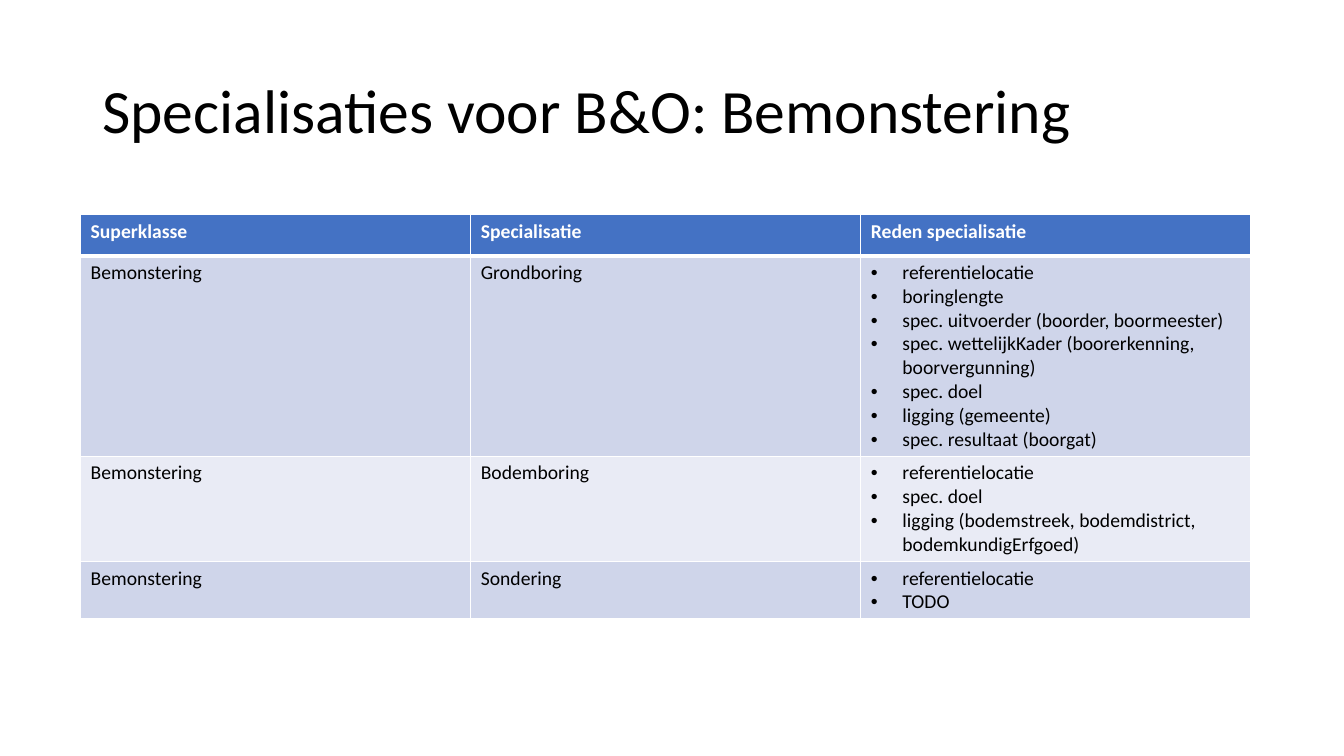
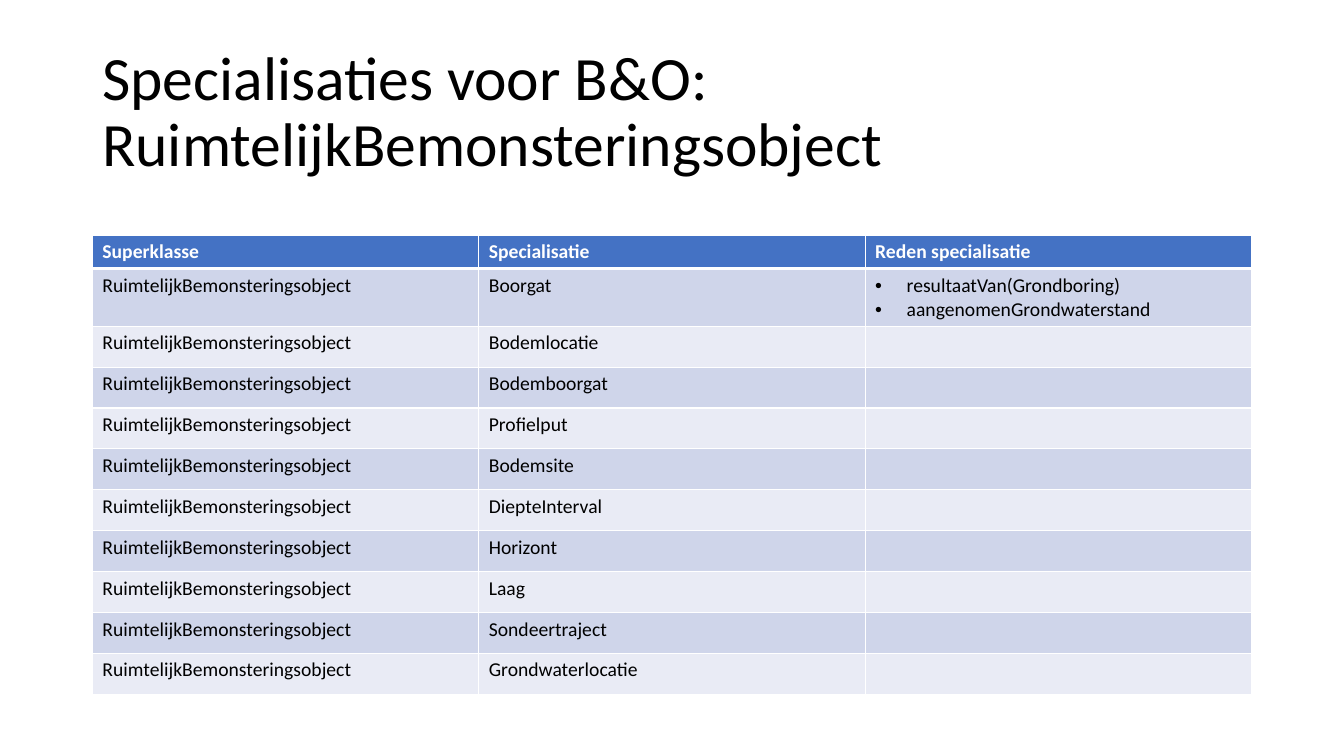
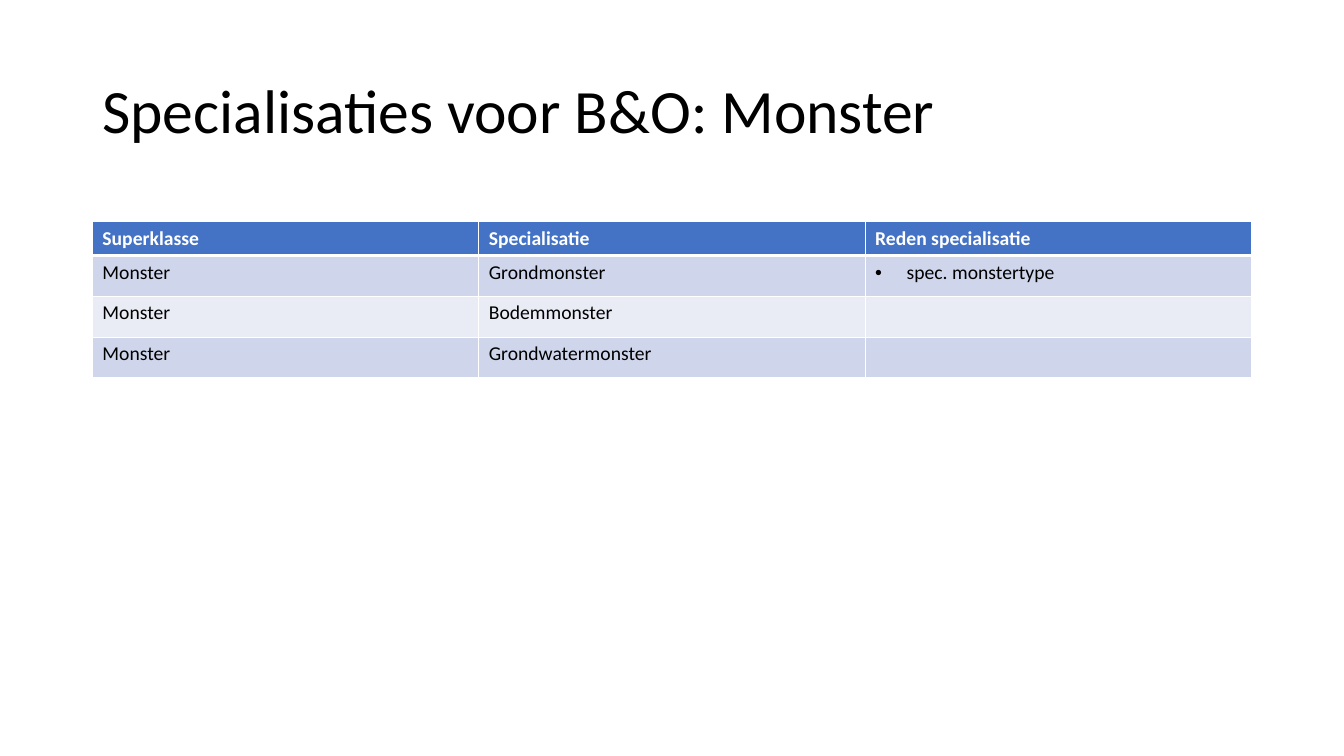
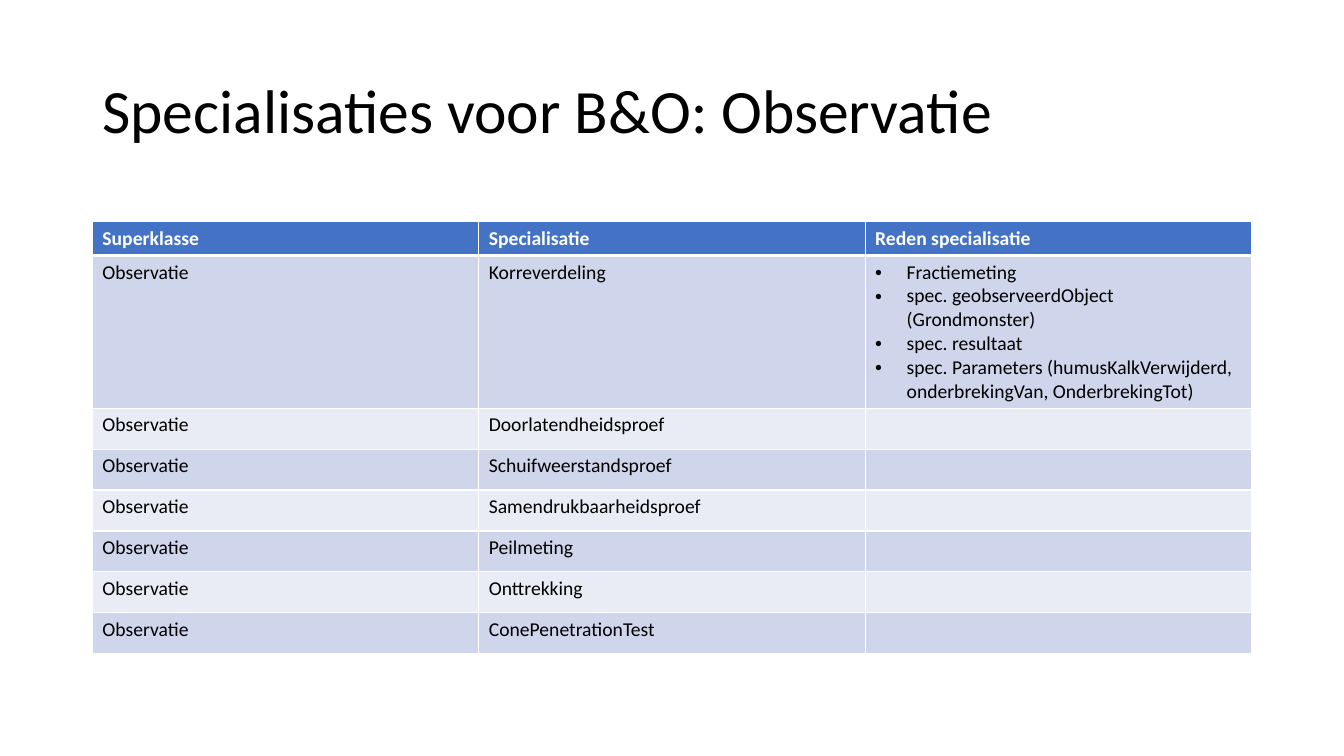
from lxml import etree
from pptx import Presentation
from pptx.dml.color import RGBColor
from pptx.enum.text import MSO_ANCHOR
from pptx.oxml.ns import qn
from pptx.util import Pt

MIDDLE = MSO_ANCHOR.MIDDLE
FONT = "Calibri"
BLACK, WHITE, HEADER_BLUE = "000000", "FFFFFF", "4472C4"
BANDS = ("CFD5EA", "E9EBF5")
HEADINGS = ("Superklasse", "Specialisatie", "Reden specialisatie")
TITLE_BOX = (66, 28.8, 828, 104.4)
TITLE_SIZE, TABLE_SIZE = 44, 14
ROW_HEIGHT, COMPACT_HEADER = 29.2, 24
LINE_HEIGHT, CELL_MARGINS = 17, 7.2
BULLET_INDENT = 22.5
THIN, THICK = 1, 3

# Each row: specialisation, lines of text in the last column, reasons
SLIDES = (
    ("Bemonstering", (57.6, 153.4, 836), ROW_HEIGHT, (
        ("Grondboring", 8, (
            "referentielocatie", "boringlengte",
            "spec. uitvoerder (boorder, boormeester)",
            "spec. wettelijkKader (boorerkenning, boorvergunning)",
            "spec. doel", "ligging (gemeente)", "spec. resultaat (boorgat)")),
        ("Bodemboring", 4, (
            "referentielocatie", "spec. doel",
            "ligging (bodemstreek, bodemdistrict, bodemkundigErfgoed)")),
        ("Sondering", 2, ("referentielocatie", "TODO")),
    )),
    ("RuimtelijkBemonsteringsobject", (66, 167.8, 828), COMPACT_HEADER, (
        ("Boorgat", 2, ("resultaatVan(Grondboring)", "aangenomenGrondwaterstand")),
        ("Bodemlocatie", 1, ()),
        ("Bodemboorgat", 1, ()),
        ("Profielput", 1, ()),
        ("Bodemsite", 1, ()),
        ("DiepteInterval", 1, ()),
        ("Horizont", 1, ()),
        ("Laag", 1, ()),
        ("Sondeertraject", 1, ()),
        ("Grondwaterlocatie", 1, ()),
    )),
    ("Monster", (66, 158.4, 828), COMPACT_HEADER, (
        ("Grondmonster", 1, ("spec. monstertype",)),
        ("Bodemmonster", 1, ()),
        ("Grondwatermonster", 1, ()),
    )),
    ("Observatie", (66, 158.4, 828), COMPACT_HEADER, (
        ("Korreverdeling", 6, (
            "Fractiemeting", "spec. geobserveerdObject (Grondmonster)",
            "spec. resultaat",
            "spec. Parameters (humusKalkVerwijderd, onderbrekingVan, OnderbrekingTot)")),
        ("Doorlatendheidsproef", 1, ()),
        ("Schuifweerstandsproef", 1, ()),
        ("Samendrukbaarheidsproef", 1, ()),
        ("Peilmeting", 1, ()),
        ("Onttrekking", 1, ()),
        ("ConePenetrationTest", 1, ()),
    )),
)


def paint(target, color):
    """Give a fill a solid colour."""
    target.solid()
    target.fore_color.rgb = RGBColor.from_string(color)


def add_run(paragraph, text, size, color, bold=False):
    """Add one styled run to a paragraph."""
    run = paragraph.add_run()
    run.text = text
    run.font.name = FONT
    run.font.size = Pt(size)
    run.font.bold = bold
    paint(run.font.fill, color)


def add_bullet(paragraph):
    """Give a paragraph a hanging bullet."""
    properties = paragraph._p.get_or_add_pPr()
    properties.set("marL", str(Pt(BULLET_INDENT)))
    properties.set("indent", str(-Pt(BULLET_INDENT)))
    etree.SubElement(properties, qn("a:buFont")).set("typeface", "Arial")
    etree.SubElement(properties, qn("a:buChar")).set("char", "•")


def add_borders(cell, top, bottom):
    """Draw the four white borders of a cell."""
    properties = cell._tc.get_or_add_tcPr()
    for side, width in (("lnL", THIN), ("lnR", THIN), ("lnT", top), ("lnB", bottom)):
        line = etree.SubElement(properties, qn(f"a:{side}"), w=str(Pt(width)))
        fill = etree.SubElement(line, qn("a:solidFill"))
        etree.SubElement(fill, qn("a:srgbClr"), val=WHITE)


def fill_cell(cell, texts, row_index, bulleted=False):
    """Style a cell by its row and write one paragraph for each text."""
    is_header = row_index == 0
    add_borders(cell, THICK if row_index == 1 else THIN, THICK if is_header else THIN)
    paint(cell.fill, HEADER_BLUE if is_header else BANDS[(row_index - 1) % 2])
    for index, text in enumerate(texts):
        frame = cell.text_frame
        paragraph = frame.add_paragraph() if index else frame.paragraphs[0]
        if bulleted:
            add_bullet(paragraph)
        add_run(paragraph, text, TABLE_SIZE, WHITE if is_header else BLACK, is_header)


def add_title(slide, box, text):
    """Place the slide title in its box."""
    frame = slide.shapes.add_textbox(*map(Pt, box)).text_frame
    frame.word_wrap = True
    frame.vertical_anchor = MIDDLE
    paragraph = frame.paragraphs[0]
    paragraph.line_spacing = 0.9
    add_run(paragraph, text, TITLE_SIZE, BLACK)


def add_specialisations(slide, box, header_height, superclass, records):
    """Place the table of specialisations at left, top and width."""
    left, top, width = box
    heights = [header_height] + [
        max(ROW_HEIGHT, lines * LINE_HEIGHT + CELL_MARGINS) for _, lines, _ in records]
    table = slide.shapes.add_table(
        len(heights), len(HEADINGS), Pt(left), Pt(top), Pt(width), Pt(sum(heights))).table
    table.horz_banding = False
    for row, height in zip(table.rows, heights):
        row.height = Pt(height)
    for column, heading in enumerate(HEADINGS):
        fill_cell(table.cell(0, column), [heading], 0)
    for row_index, (specialisation, _, reasons) in enumerate(records, 1):
        fill_cell(table.cell(row_index, 0), [superclass], row_index)
        fill_cell(table.cell(row_index, 1), [specialisation], row_index)
        fill_cell(table.cell(row_index, 2), reasons, row_index, bulleted=True)


def main():
    """Build the presentation."""
    presentation = Presentation()
    presentation.slide_width, presentation.slide_height = Pt(960), Pt(540)
    for superclass, box, header_height, records in SLIDES:
        slide = presentation.slides.add_slide(presentation.slide_layouts[6])
        add_title(slide, TITLE_BOX, f"Specialisaties voor B&O: {superclass}")
        add_specialisations(slide, box, header_height, superclass, records)
    presentation.save("out.pptx")


if __name__ == "__main__":
    main()
